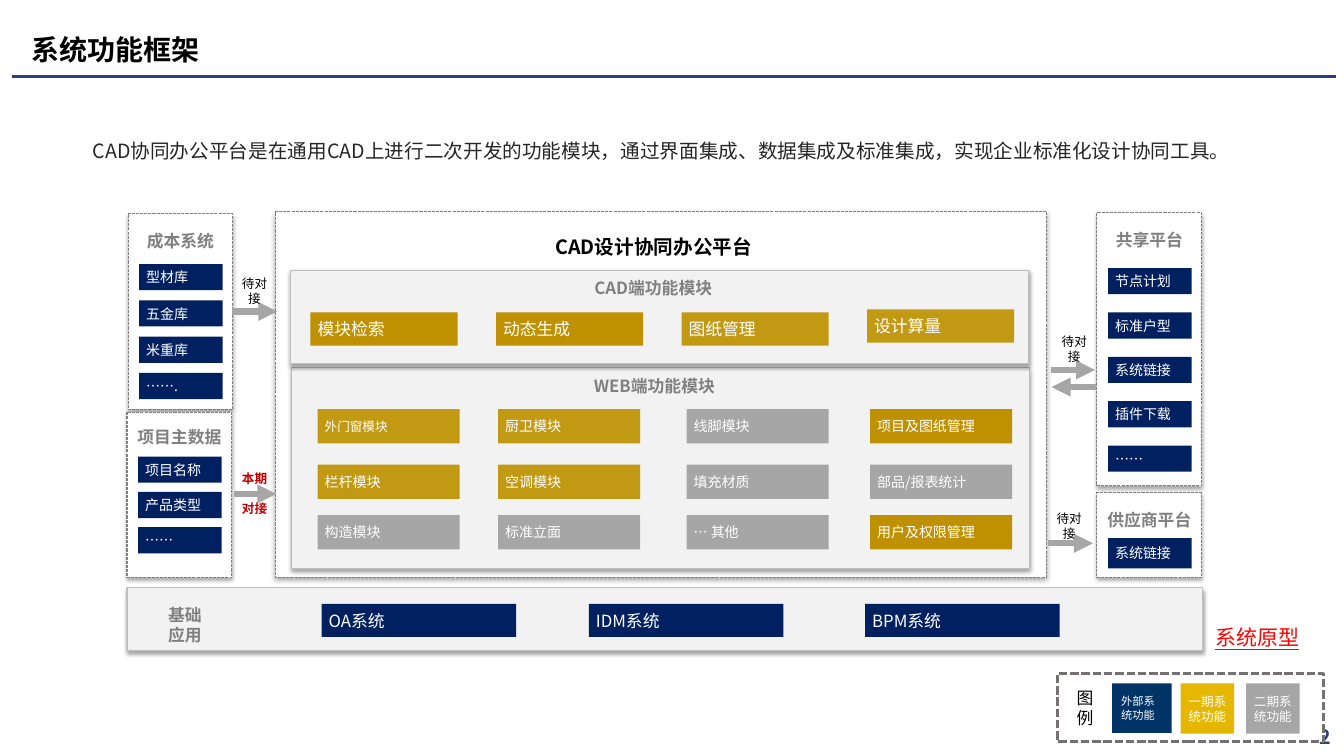
from collections import namedtuple

from lxml.etree import SubElement
from pptx import Presentation
from pptx.dml.color import RGBColor
from pptx.enum.dml import MSO_LINE
from pptx.enum.shapes import MSO_CONNECTOR, MSO_SHAPE
from pptx.enum.text import MSO_ANCHOR, PP_ALIGN
from pptx.oxml.ns import qn
from pptx.util import Inches, Pt

Box = namedtuple("Box", "left top width height")
SANS = "Noto Sans CJK SC"
NAVY, GOLD, LIGHT_GOLD, GRAY = "002060", "BF9000", "C29913", "A6A6A6"
LABEL_GRAY, WHITE, BLACK, RULE_BLUE = "808080", "FFFFFF", "000000", "2C3F85"
LEFT, CENTER, RIGHT = PP_ALIGN.LEFT, PP_ALIGN.CENTER, PP_ALIGN.RIGHT


def color(hex_string):
    return RGBColor.from_string(hex_string)


def inside(box, left, top, width, height):
    """Box given by its offset from the corner of another box."""
    return Box(box.left + left, box.top + top, width, height)


def write(shape, text, size, text_color, bold=False, align=LEFT, font=SANS,
          anchor=MSO_ANCHOR.MIDDLE, margins=(0.07, 0.03), wrap=True):
    frame = shape.text_frame
    frame.text = text
    frame.word_wrap = wrap
    frame.vertical_anchor = anchor
    frame.margin_left = frame.margin_right = Inches(margins[0])
    frame.margin_top = frame.margin_bottom = Inches(margins[1])
    for paragraph in frame.paragraphs:
        paragraph.alignment = align
        for run in paragraph.runs:
            run.font.name = font
            run.font.size = Pt(size)
            run.font.bold = bold
            run.font.color.rgb = color(text_color)
            if font == SANS:
                SubElement(run.font._element, qn("a:ea"), typeface=font)
    return frame


def add_label(slide, box, text, size, text_color, **style):
    shape = slide.shapes.add_textbox(*map(Inches, box))
    return write(shape, text, size, text_color, **style)


def add_rectangle(slide, box, fill):
    shape = slide.shapes.add_shape(MSO_SHAPE.RECTANGLE, *map(Inches, box))
    shape.shadow.inherit = False
    shape.fill.solid()
    shape.fill.fore_color.rgb = color(fill)
    shape.line.fill.background()
    return shape


def add_block(slide, box, text, fill, size=10, **style):
    write(add_rectangle(slide, box, fill), text, size, WHITE, **style)


def outline(shape, line_color, width, dashed):
    shape.line.color.rgb = color(line_color)
    shape.line.width = Pt(width)
    if dashed:
        shape.line.dash_style = MSO_LINE.SQUARE_DOT


def add_panel(slide, box, dashed=False):
    """Rectangle with a soft shadow: white and dashed, or light gray."""
    shape = add_rectangle(slide, box, WHITE if dashed else "F2F2F2")
    outline(shape, LABEL_GRAY if dashed else "BFBFBF", 0.75, dashed)
    effects = shape._element.spPr.find(qn("a:effectLst"))
    shadow = SubElement(effects, qn("a:outerShdw"), blurRad=str(Pt(3.1)),
                        dist=str(Pt(1.8)), dir="5400000", algn="t", rotWithShape="0")
    shade = SubElement(shadow, qn("a:srgbClr"), val=BLACK)
    SubElement(shade, qn("a:alpha"), val="35000")


def add_line(slide, start, end, line_color, width, arrow_end=None):
    line = slide.shapes.add_connector(MSO_CONNECTOR.STRAIGHT, *map(Inches, start + end))
    line.line.color.rgb = color(line_color)
    line.line.width = Pt(width)
    if arrow_end:
        SubElement(line.line._get_or_add_ln(), qn(f"a:{arrow_end}"), type="triangle")
    SubElement(line._element.spPr, qn("a:effectLst"))


def add_heading(slide):
    add_label(slide, Box(12.47, 7.14, 0.83, 0.34), "2", 14, RULE_BLUE,
              bold=True, align=RIGHT, margins=(0.1, 0.05))
    add_line(slide, (0.12, 0.76), (13.25, 0.76), RULE_BLUE, 2.25)
    add_label(slide, Box(0.21, 0.25, 11.1, 0.48), "系统功能框架", 20, BLACK,
              bold=True, margins=(0.1, 0.05))
    intro = add_label(
        slide, Box(0.82, 1.24, 11.6, 0.4),
        "CAD协同办公平台是在通用CAD上进行二次开发的功能模块，"
        "通过界面集成、数据集成及标准集成，实现企业标准化设计协同工具。",
        14, "262626", anchor=MSO_ANCHOR.TOP, margins=(0.1, 0.05))
    intro.paragraphs[0].line_spacing = 1.4


def add_system_column(slide, box, title, title_top, items, first_top, pitch=0, height=0.26):
    """Dashed panel with a title above a stack of navy blocks."""
    add_panel(slide, box, dashed=True)
    add_label(slide, inside(box, 0, title_top, box.width, 0.3), title, 12, LABEL_GRAY,
              bold=True, align=CENTER, margins=(0, 0.05))
    for index, item in enumerate(items):
        block = inside(box, 0.11, first_top + index * pitch, 0.83, height)
        add_block(slide, block, item, NAVY)


def add_module_title(slide, box, text):
    add_label(slide, inside(box, 2.48, 0.03, 2.24, 0.3), text, 12, LABEL_GRAY,
              bold=True, align=CENTER, margins=(0.1, 0.05))


def add_cad_modules(slide, box):
    add_panel(slide, box)
    add_module_title(slide, box, "CAD端功能模块")
    modules = [("模块检索", GOLD), ("动态生成", GOLD),
               ("图纸管理", LIGHT_GOLD), ("设计算量", LIGHT_GOLD)]
    for index, (name, fill) in enumerate(modules):
        top = 0.39 if name == "设计算量" else 0.42
        block = inside(box, 0.2 + index * 1.84, top, 1.46, 0.33)
        add_block(slide, block, name, fill, size=12)


def add_web_modules(slide, box):
    add_panel(slide, box)
    add_module_title(slide, box, "WEB端功能模块")
    columns = (0.26, 2.05, 3.92, 5.74)
    rows = [
        (0.41, [("外门窗模块", LIGHT_GOLD), ("厨卫模块", LIGHT_GOLD),
                ("线脚模块", GRAY), ("项目及图纸管理", GOLD)]),
        (0.96, [("栏杆模块", LIGHT_GOLD), ("空调模块", LIGHT_GOLD),
                ("填充材质", GRAY), ("部品/报表统计", GRAY)]),
        (1.46, [("构造模块", GRAY), ("标准立面", GRAY),
                ("… 其他", GRAY), ("用户及权限管理", GOLD)]),
    ]
    for top, modules in rows:
        for left, (name, fill) in zip(columns, modules):
            size = 9 if name == "外门窗模块" else 10
            add_block(slide, inside(box, left, top, 1.41, 0.34), name, fill, size=size)


def add_platform(slide, box):
    add_panel(slide, box, dashed=True)
    add_web_modules(slide, inside(box, 0.16, 1.55, 7.32, 1.99))
    add_cad_modules(slide, inside(box, 0.15, 0.58, 7.32, 0.93))
    add_label(slide, inside(box, 2.65, 0.17, 2.21, 0.36), "CAD设计协同办公平台", 14, BLACK,
              bold=True, align=CENTER, margins=(0.1, 0.05), wrap=False)


def add_base_applications(slide, box):
    add_panel(slide, box)
    add_label(slide, inside(box, -0.04, 0.12, 1.23, 0.5), "基础\n应用", 12, LABEL_GRAY,
              bold=True, align=CENTER, anchor=MSO_ANCHOR.TOP, margins=(0.1, 0.05))
    for left, name in [(1.93, "OA系统"), (4.58, "IDM系统"), (7.32, "BPM系统")]:
        add_block(slide, inside(box, left, 0.16, 1.93, 0.33), name, NAVY, size=12)


def add_links(slide):
    """Arrows between the platform and its neighbours, with their captions."""
    for left, right, top, arrow_end in [
            (2.3, 2.75, 3.09, "tailEnd"), (2.32, 2.74, 4.9, "tailEnd"),
            (10.42, 10.86, 3.67, "tailEnd"), (10.43, 10.87, 3.84, "headEnd"),
            (10.39, 10.84, 5.39, "tailEnd")]:
        add_line(slide, (left, top), (right, top), GRAY, 4.5, arrow_end)
    caption = dict(align=CENTER, font="Roboto", margins=(0.03, 0.03), wrap=False)
    for left, top in [(2.31, 2.78), (10.44, 3.36), (10.39, 5.11)]:
        add_label(slide, Box(left, top, 0.43, 0.21), "待对接", 9, BLACK, **caption)
    current = add_label(slide, Box(2.37, 4.64, 0.31, 0.51), "本期\n对接", 9, "C00000",
                        bold=True, **caption)
    current.paragraphs[1].space_before = Pt(10.5)
    prototype = add_label(slide, Box(12.02, 6.17, 0.9, 0.31), "系统原型", 15, "FF0000", **caption)
    prototype.paragraphs[0].runs[0].font.underline = True


def add_legend(slide, box):
    outline(add_rectangle(slide, box, WHITE), "767171", 2, dashed=True)
    add_label(slide, inside(box, 0.09, 0.09, 0.35, 0.5), "图例", 12, BLACK,
              anchor=MSO_ANCHOR.TOP, margins=(0.1, 0.05))
    add_block(slide, inside(box, 0.54, 0.1, 0.59, 0.49), "外部系统功能", "003366",
              size=8, margins=(0.09, 0.05))
    for left, name, fill in [(1.22, "一期系统功能", "E6B700"), (1.87, "二期系统功能", GRAY)]:
        add_block(slide, inside(box, left, 0.1, 0.53, 0.5), name, fill, size=9, align=CENTER)


def main():
    presentation = Presentation()
    presentation.slide_width, presentation.slide_height = Inches(13.33), Inches(7.5)
    slide = presentation.slides.add_slide(presentation.slide_layouts[6])
    add_heading(slide)
    add_platform(slide, Box(2.73, 2.1, 7.65, 3.63))
    add_legend(slide, Box(10.49, 6.68, 2.64, 0.68))
    add_base_applications(slide, Box(1.26, 5.83, 10.67, 0.62))
    add_system_column(slide, Box(1.27, 2.12, 1.04, 1.94), "成本系统", 0.12,
                      ["型材库", "五金库", "米重库", "……."], 0.5, 0.36)
    add_system_column(slide, Box(1.26, 4.09, 1.04, 1.64), "项目主数据", 0.09,
                      ["项目名称", "产品类型", "……"], 0.44, 0.35)
    add_system_column(slide, Box(10.88, 2.11, 1.04, 2.71), "共享平台", 0.12,
                      ["节点计划", "标准户型", "系统链接", "插件下载", "……"], 0.55, 0.44)
    add_system_column(slide, Box(10.88, 4.89, 1.04, 0.84), "供应商平台", 0.12,
                      ["系统链接"], 0.45, height=0.3)
    add_links(slide)
    presentation.save("out.pptx")


if __name__ == "__main__":
    main()
